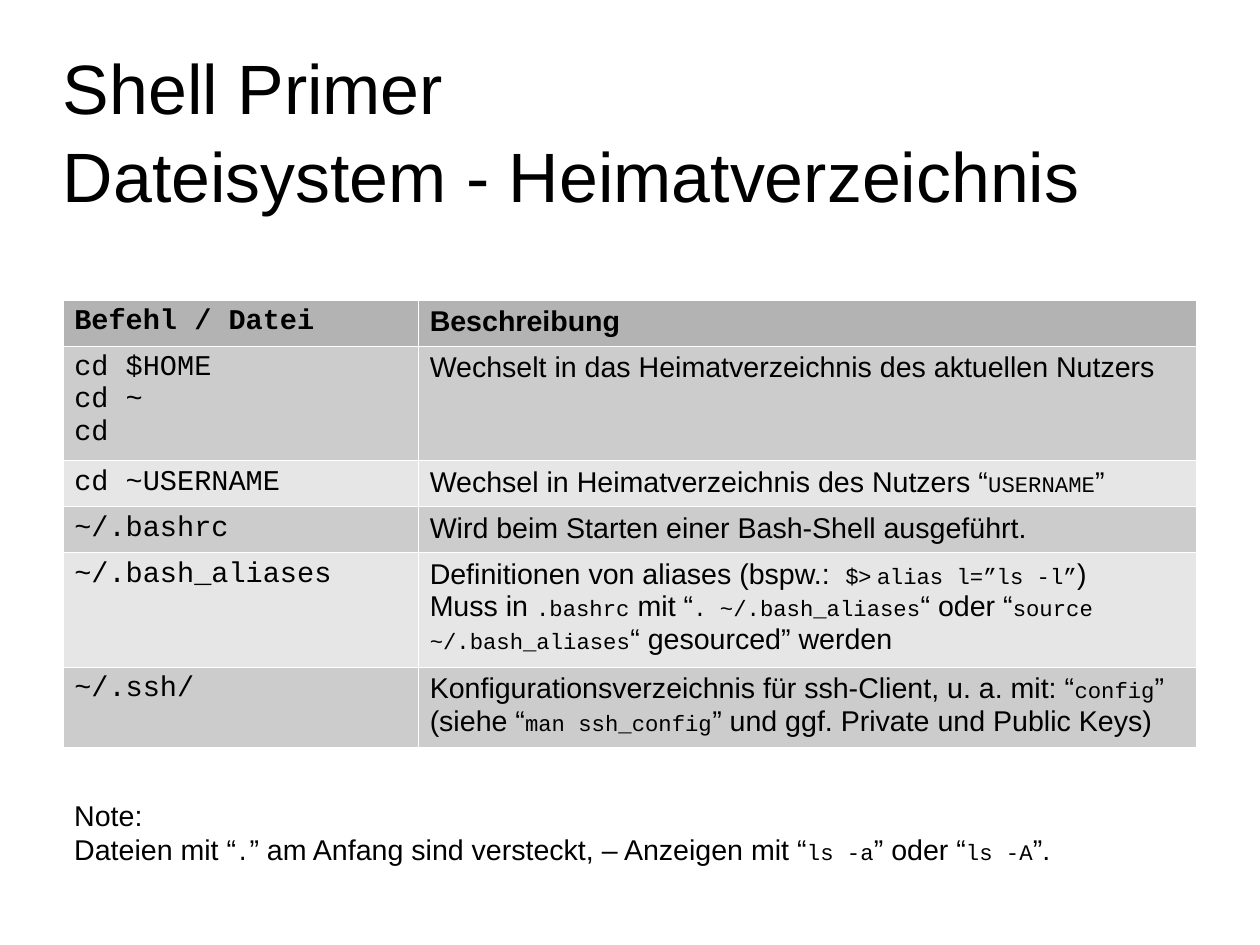
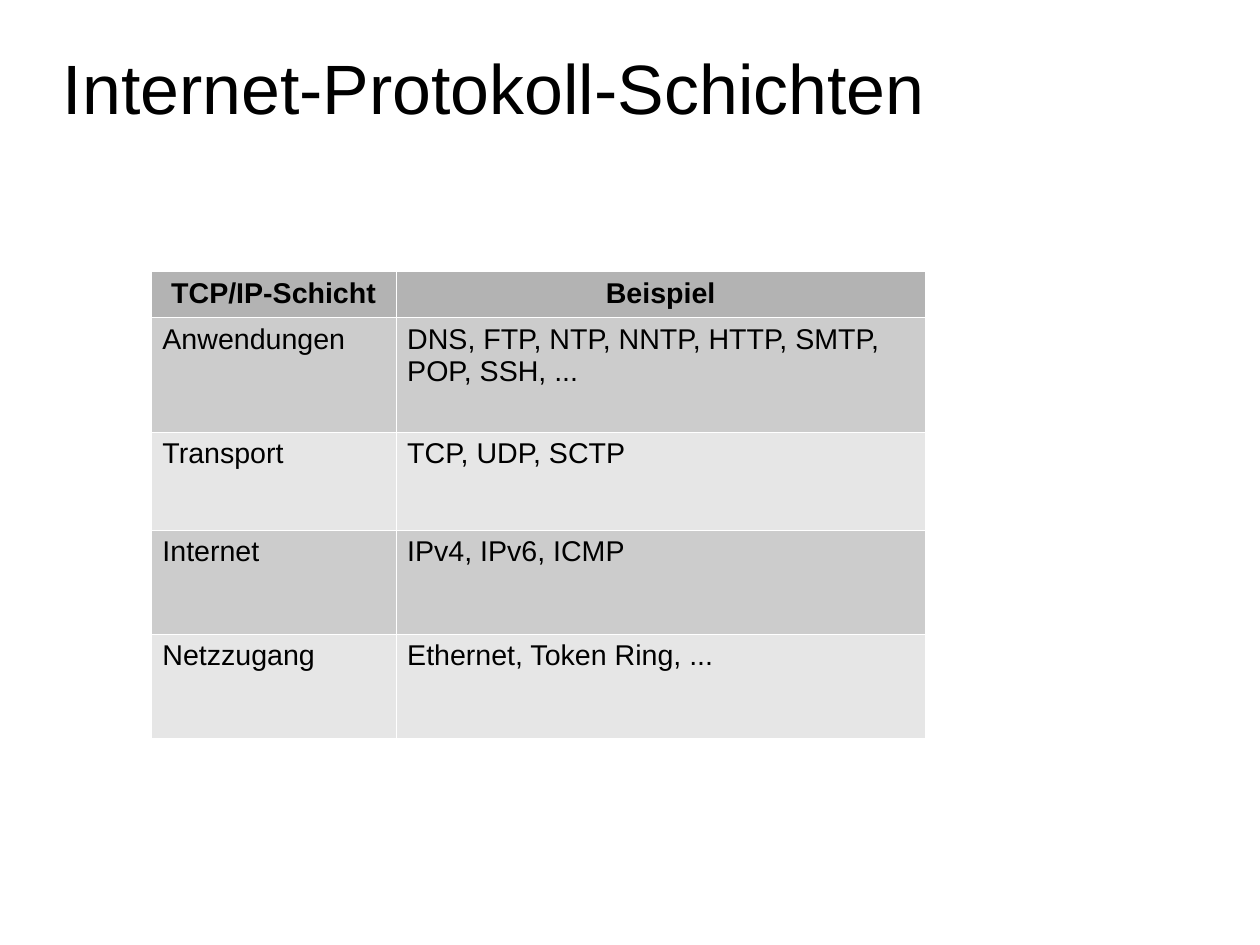
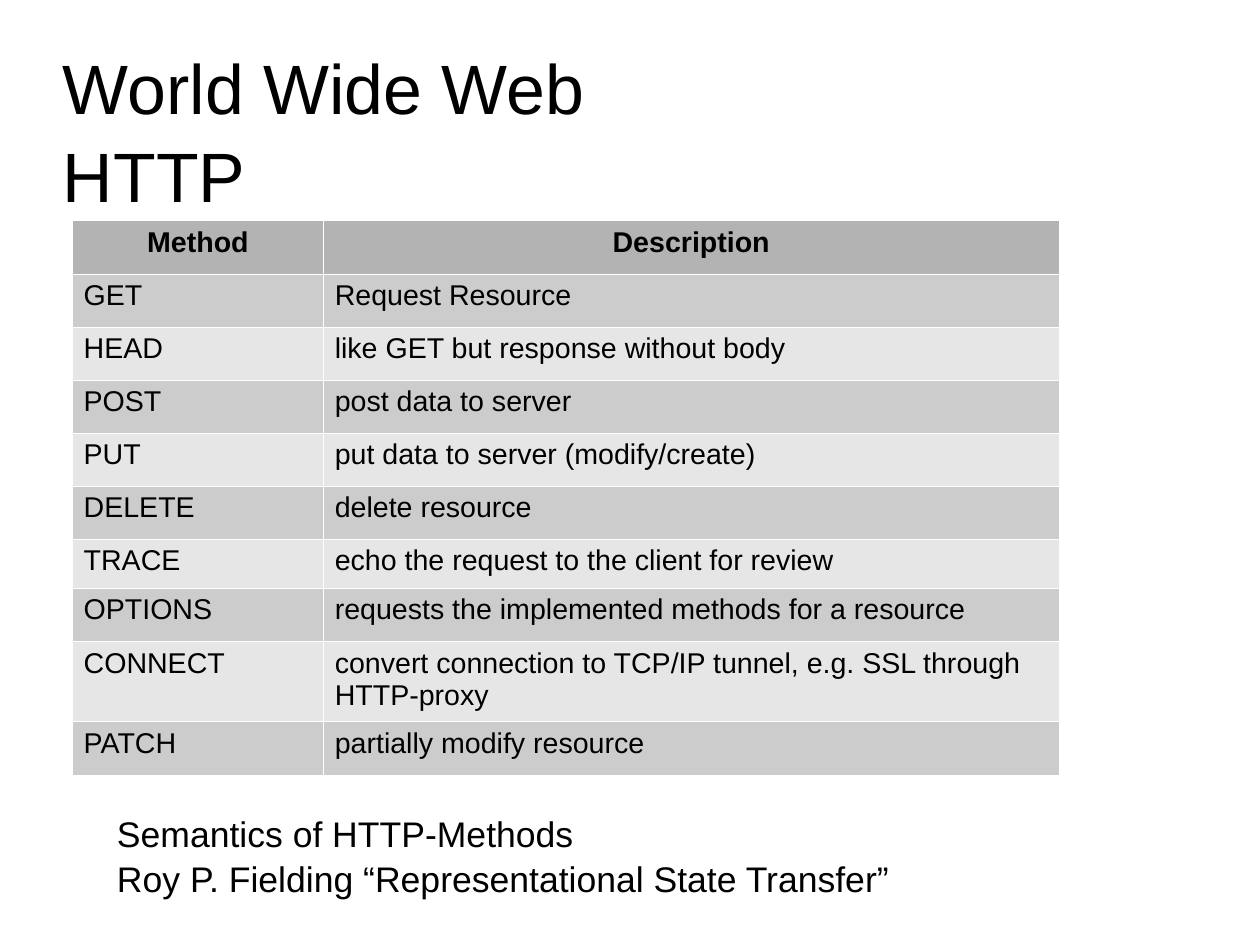
from dataclasses import dataclass

from lxml import etree
from pptx import Presentation
from pptx.dml.color import RGBColor
from pptx.enum.text import MSO_ANCHOR, PP_ALIGN
from pptx.oxml.ns import qn
from pptx.util import Cm, Pt

TOP = MSO_ANCHOR.TOP
LEFT = PP_ALIGN.LEFT
CENTER = PP_ALIGN.CENTER


@dataclass(frozen=True)
class Theme:
    ink: str = "000000"
    edge: str = "FFFFFF"
    head: str = "B3B3B3"
    bands: tuple = ("CCCCCC", "E6E6E6")
    sans: str = "Arial"
    mono: str = "Courier New"
    title: float = 44
    lead: float = 22.4
    body: float = 18
    code: float = 14
    rule: float = 0.06
    loose: float = 1.05
    pad: tuple = (0.25, 0.13)


THEME = Theme()


@dataclass(frozen=True)
class Span:
    text: str
    font: str = THEME.sans
    size: float = THEME.body


def code(text):
    return Span(text, THEME.mono, THEME.code)


def cmd(*lines):
    return [[Span(line, THEME.mono)] for line in lines]


def para(*parts):
    return [Span(part) if isinstance(part, str) else part for part in parts]


class Deck:
    def __init__(self, theme):
        self.theme = theme
        self.prs = Presentation()
        self.prs.slide_width = Cm(28)
        self.prs.slide_height = Cm(21)
        self.slide = None

    def page(self, *lines):
        self.slide = self.prs.slides.add_slide(self.prs.slide_layouts[6])
        self.large(lines, self.theme.title, (1.4, 0.9, 25.2, 3.5))

    def large(self, lines, size, box):
        paras = [[Span(line, size=size)] for line in lines]
        self.text(paras, box, (0, 0), self.theme.loose)

    def text(self, paras, box, pad, space=1.0):
        shape = self.slide.shapes.add_textbox(*map(Cm, box))
        frame = shape.text_frame
        frame.word_wrap = True
        frame.vertical_anchor = TOP
        self.inset(frame, pad)
        self.fill(frame, paras, space=space)

    def inset(self, item, pad):
        item.margin_left = item.margin_right = Cm(pad[0])
        item.margin_top = item.margin_bottom = Cm(pad[1])

    def fill(self, frame, paras, align=LEFT, bold=False, space=1.0):
        for i, spans in enumerate(paras):
            line = frame.add_paragraph() if i else frame.paragraphs[0]
            line.alignment = align
            line.line_spacing = space
            for span in spans:
                run = line.add_run()
                run.text = span.text
                run.font.name = span.font
                run.font.size = Pt(span.size)
                run.font.bold = bold
                run.font.color.rgb = RGBColor.from_string(self.theme.ink)

    def table(self, rows, at, cols, highs, align=CENTER):
        size = sum(cols), sum(highs)
        frame = self.slide.shapes.add_table(
            len(rows), len(cols), *map(Cm, (*at, *size)))
        grid = frame.table
        grid.horz_banding = False
        for col, wide in zip(grid.columns, cols):
            col.width = Cm(wide)
        for r, (row, high) in enumerate(zip(rows, highs)):
            grid.rows[r].height = Cm(high)
            tone = self.theme.bands[(r - 1) % 2] if r else self.theme.head
            for c, item in enumerate(row):
                paras = [para(item)] if isinstance(item, str) else item
                cell = grid.cell(r, c)
                cell.vertical_anchor = TOP
                self.inset(cell, self.theme.pad)
                self.fill(cell.text_frame, paras,
                          LEFT if r else align, r == 0)
                cell.fill.solid()
                cell.fill.fore_color.rgb = RGBColor.from_string(tone)
                self.edges(cell)

    def edges(self, cell):
        props = cell._tc.get_or_add_tcPr()
        for i, side in enumerate(("a:lnL", "a:lnR", "a:lnT", "a:lnB")):
            line = etree.Element(qn(side), w=str(Pt(self.theme.rule)))
            paint = etree.SubElement(line, qn("a:solidFill"))
            etree.SubElement(paint, qn("a:srgbClr"), val=self.theme.edge)
            props.insert(i, line)


def home(deck):
    deck.page("Shell Primer", "Dateisystem - Heimatverzeichnis")
    rows = [
        (cmd("Befehl / Datei"), "Beschreibung"),
        (cmd("cd $HOME", "cd ~", "cd"),
         "Wechselt in das Heimatverzeichnis des aktuellen Nutzers"),
        (cmd("cd ~USERNAME"),
         [para("Wechsel in Heimatverzeichnis des Nutzers “",
               code("USERNAME"), "”")]),
        (cmd("~/.bashrc"), "Wird beim Starten einer Bash-Shell ausgeführt."),
        (cmd("~/.bash_aliases"),
         [para("Definitionen von aliases (bspw.:  ",
               Span("$> a", size=THEME.code), code("lias l=”ls -l”"), ")"),
          para("Muss in ", code(".bashrc"), " mit “",
               code(". ~/.bash_aliases"), "“ oder “",
               code("source ~/.bash_aliases"), "“ gesourced” werden")]),
        (cmd("~/.ssh/"),
         [para("Konfigurationsverzeichnis für ssh-Client, u. a. mit: “",
               code("config"), "” (siehe “", code("man ssh_config"),
               "” und ggf. Private und Public Keys)")]),
    ]
    deck.table(rows, (1.4, 6.66), (7.9, 17.29),
               (1.02, 2.53, 1.02, 1.02, 2.54, 1.76), LEFT)
    note = [
        para("Note:"),
        para("Dateien mit “", code("."),
             "” am Anfang sind versteckt, – Anzeigen mit “",
             code("ls -a"), "” oder “", code("ls -A"), "”."),
    ]
    deck.text(note, (1.4, 17.6, 24.4, 2.57), THEME.pad)


def layers(deck):
    deck.page("Internet-Protokoll-Schichten")
    rows = [
        ("TCP/IP-Schicht", "Beispiel"),
        ("Anwendungen", "DNS, FTP, NTP, NNTP, HTTP, SMTP, POP, SSH, ..."),
        ("Transport", "TCP, UDP, SCTP"),
        ("Internet", "IPv4, IPv6, ICMP"),
        ("Netzzugang", "Ethernet, Token Ring, ..."),
    ]
    deck.table(rows, (3.36, 6.03), (5.44, 11.76),
               (1, 2.54, 2.18, 2.31, 2.31))


def web(deck):
    deck.page("World Wide Web", "HTTP")
    rows = [
        ("Method", "Description"),
        ("GET", "Request Resource"),
        ("HEAD", "like GET but response without body"),
        ("POST", "post data to server"),
        ("PUT", "put data to server (modify/create)"),
        ("DELETE", "delete resource"),
        ("TRACE", "echo the request to the client for review"),
        ("OPTIONS", "requests the implemented methods for a resource"),
        ("CONNECT", "convert connection to TCP/IP tunnel, "
                    "e.g. SSL through HTTP-proxy"),
        ("PATCH", "partially modify resource"),
    ]
    highs = [1.18] * 6 + [1.09, 1.18, 1.78, 1.18]
    deck.table(rows, (1.61, 4.9), (5.58, 16.34), highs)
    lines = ("Semantics of HTTP-Methods",
             "Roy P. Fielding “Representational State Transfer”")
    deck.large(lines, THEME.lead, (2.6, 18, 24, 2))


def main():
    deck = Deck(THEME)
    for build in (home, layers, web):
        build(deck)
    deck.prs.save("out.pptx")


if __name__ == "__main__":
    main()
